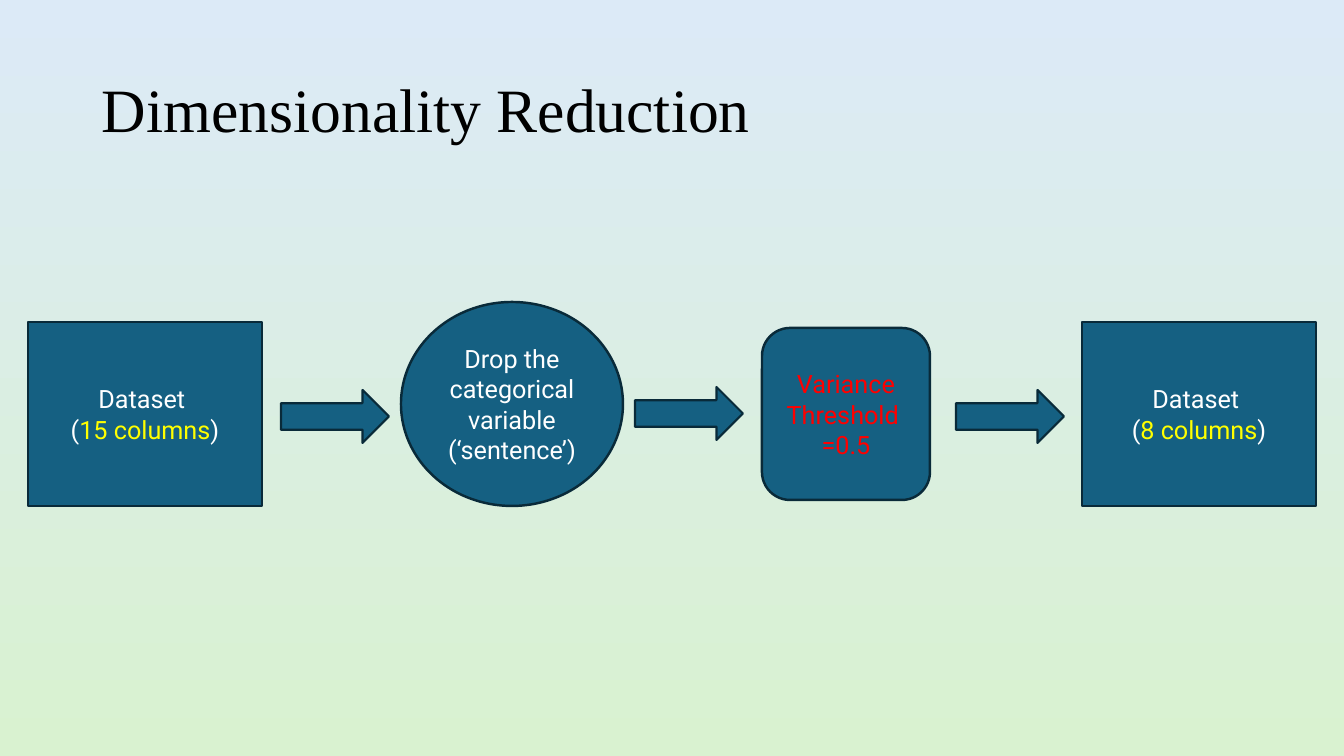
import pptx
import pptx.dml.color
import pptx.enum.shapes
import pptx.enum.text
import pptx.util

RGBColor = pptx.dml.color.RGBColor
Shape = pptx.enum.shapes.MSO_SHAPE
Align = pptx.enum.text.PP_ALIGN
Anchor = pptx.enum.text.MSO_ANCHOR

SKY = RGBColor(0xDC, 0xEA, 0xF7)
MINT = RGBColor(0xD9, 0xF2, 0xD0)
TEAL = RGBColor(0x15, 0x60, 0x82)
OUTLINE = RGBColor(0x09, 0x2A, 0x39)
BLACK = RGBColor(0x00, 0x00, 0x00)
WHITE = RGBColor(0xFF, 0xFF, 0xFF)
YELLOW = RGBColor(0xFF, 0xFF, 0x00)
RED = RGBColor(0xFF, 0x00, 0x00)

EMU_PER_PX = 914400 / 100.8


def px(length):
    return pptx.util.Emu(round(length * EMU_PER_PX))


def add_run(paragraph, text, *, font, size, color):
    run = paragraph.add_run()
    run.text = text
    run.font.name = font
    run.font.size = pptx.util.Pt(size)
    run.font.color.rgb = color


class FlowSlide:
    title_font = "Times New Roman"
    body_font = "Roboto"

    def __init__(self, presentation):
        self.slide = presentation.slides.add_slide(presentation.slide_layouts[6])

    def background(self, top_color, bottom_color):
        fill = self.slide.background.fill
        fill.gradient()
        fill.gradient_angle = 270
        for stop, color, position in zip(fill.gradient_stops, (top_color, bottom_color), (0, 1)):
            stop.color.rgb = color
            stop.position = position

    def title(self, text, left, top, width, height):
        box = self.slide.shapes.add_textbox(px(left), px(top), px(width), px(height))
        frame = box.text_frame
        frame.word_wrap = True
        frame.vertical_anchor = Anchor.MIDDLE
        paragraph = frame.paragraphs[0]
        paragraph.line_spacing = 0.9
        add_run(paragraph, text, font=self.title_font, size=44, color=BLACK)

    def node(self, kind, left, top, width, height, lines=(), line_width=1.75):
        """Draw a flow shape; each line is a list of (text, color) runs."""
        shape = self.slide.shapes.add_shape(kind, px(left), px(top), px(width), px(height))
        shape.shadow.inherit = False
        shape.fill.solid()
        shape.fill.fore_color.rgb = TEAL
        shape.line.color.rgb = OUTLINE
        shape.line.width = pptx.util.Pt(line_width)
        frame = shape.text_frame
        frame.word_wrap = True
        frame.vertical_anchor = Anchor.MIDDLE
        for index, runs in enumerate(lines):
            paragraph = frame.add_paragraph() if index else frame.paragraphs[0]
            paragraph.alignment = Align.CENTER
            for text, color in runs:
                add_run(paragraph, text, font=self.body_font, size=18, color=color)

    def dataset(self, left, columns):
        lines = [[("Dataset ", WHITE)], [("(", WHITE), (columns, YELLOW), (")", WHITE)]]
        self.node(Shape.RECTANGLE, left, 322, 234, 184, lines)

    def arrow(self, left, top):
        self.node(Shape.RIGHT_ARROW, left, top, 108, 53, line_width=1.5)


def main():
    presentation = pptx.Presentation()
    presentation.slide_width = px(1344)
    presentation.slide_height = px(756)

    flow = FlowSlide(presentation)
    flow.background(SKY, MINT)
    flow.title("Dimensionality Reduction", 92, 40, 1159, 146)

    flow.dataset(28, "15 columns")
    flow.arrow(281, 390)
    flow.node(Shape.OVAL, 401, 302, 222, 204,
              [[("Drop the categorical variable (‘sentence’)", WHITE)]])
    flow.arrow(635, 387)
    flow.node(Shape.ROUNDED_RECTANGLE, 762, 328, 168, 172,
              [[("Variance Threshold ", RED)], [("=0.5", RED)]])
    flow.arrow(956, 390)
    flow.dataset(1082, "8 columns")

    presentation.save("out.pptx")


if __name__ == "__main__":
    main()
